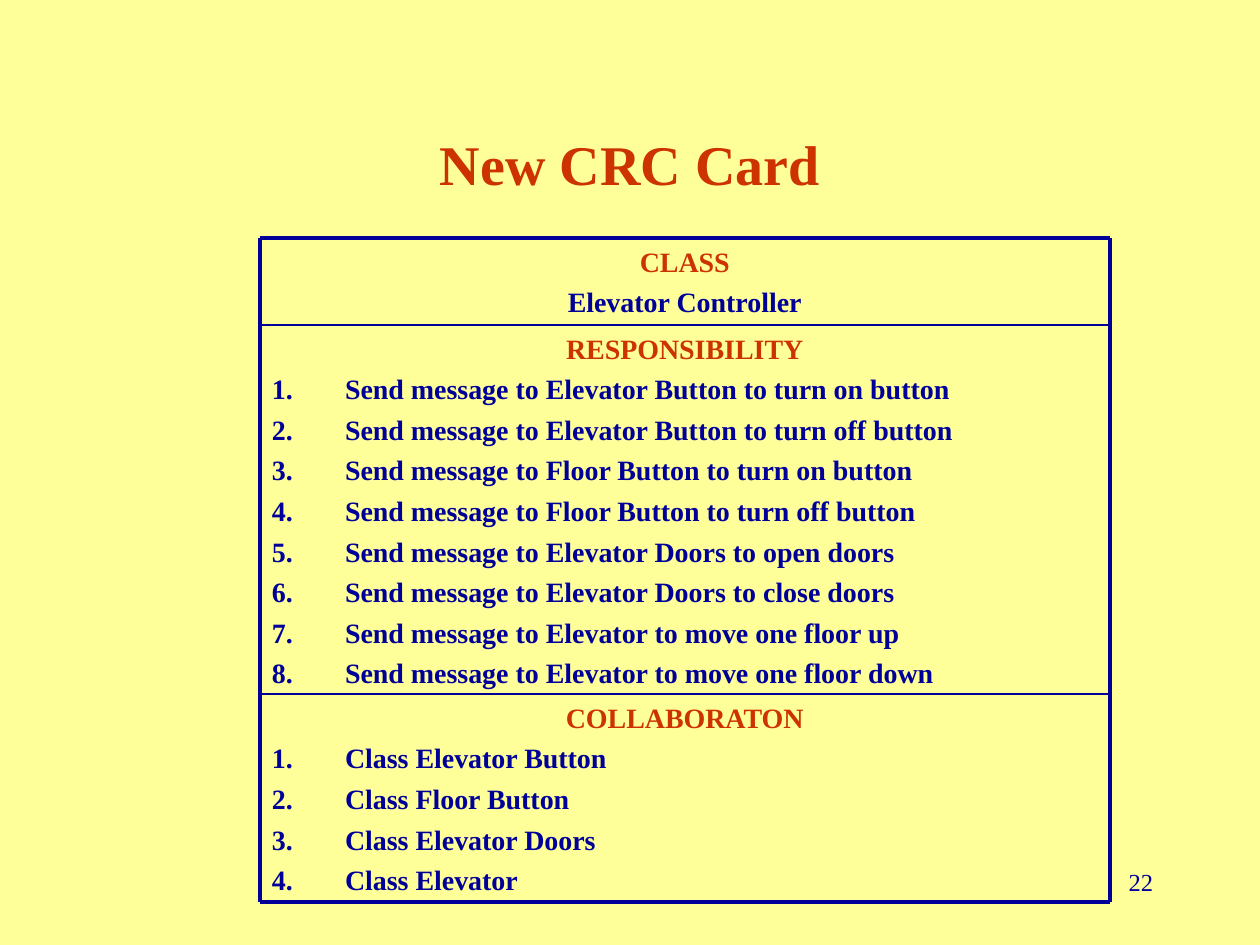
from lxml.etree import SubElement
from pptx import Presentation
from pptx.dml.color import RGBColor
from pptx.enum.shapes import MSO_CONNECTOR
from pptx.enum.text import MSO_ANCHOR, PP_ALIGN
from pptx.oxml.ns import qn
from pptx.util import Inches, Pt

YELLOW = RGBColor(0xFF, 0xFF, 0x99)
RED = RGBColor(0xCC, 0x33, 0x00)
NAVY = RGBColor(0x00, 0x00, 0x99)
FONT = "Times New Roman"

TITLE = "New CRC Card"
PAGE_NUMBER = "22"
# Heading, entries, whether the entries are numbered, section height
SECTIONS = [
    ("CLASS", ["Elevator Controller"], False, 0.69),
    ("RESPONSIBILITY", [
        "Send message to Elevator Button to turn on button",
        "Send message to Elevator Button to turn off button",
        "Send message to Floor Button to turn on button",
        "Send message to Floor Button to turn off button",
        "Send message to Elevator Doors to open doors",
        "Send message to Elevator Doors to close doors",
        "Send message to Elevator to move one floor up",
        "Send message to Elevator to move one floor down",
    ], True, 2.93),
    ("COLLABORATON", [
        "Class Elevator Button",
        "Class Floor Button",
        "Class Elevator Doors",
        "Class Elevator",
    ], True, 1.65),
]
CARD_LEFT, CARD_TOP, CARD_WIDTH = 2.06, 1.89, 6.75
CARD_RIGHT = CARD_LEFT + CARD_WIDTH
CARD_BOTTOM = CARD_TOP + sum(section[-1] for section in SECTIONS)
NUMBER_INDENT = Inches(0.58)
OUTER_WIDTH, INNER_WIDTH = 2.25, 1


def add_text(slide, left, top, width, height, lines):
    box = slide.shapes.add_textbox(
        Inches(left), Inches(top), Inches(width), Inches(height))
    text_frame = box.text_frame
    text_frame.word_wrap = True
    text_frame.text = "\n".join(lines)
    return text_frame


def style(paragraph, size, color, alignment, bold=True):
    paragraph.alignment = alignment
    for run in paragraph.runs:
        run.font.name = FONT
        run.font.size = Pt(size)
        run.font.bold = bold
        run.font.color.rgb = color


def number(paragraph):
    properties = paragraph._p.get_or_add_pPr()
    properties.set("marL", str(NUMBER_INDENT))
    properties.set("indent", str(-NUMBER_INDENT))
    SubElement(properties, qn("a:buFont"), typeface=FONT)
    SubElement(properties, qn("a:buAutoNum"), type="arabicPeriod")


def add_line(slide, x1, y1, x2, y2, width):
    line = slide.shapes.add_connector(
        MSO_CONNECTOR.STRAIGHT, Inches(x1), Inches(y1), Inches(x2), Inches(y2))
    line.line.color.rgb = NAVY
    line.line.width = Pt(width)
    SubElement(line._element.spPr, qn("a:effectLst"))


def add_section(slide, top, heading, entries, numbered, height):
    text_frame = add_text(
        slide, CARD_LEFT, top, CARD_WIDTH, height, [heading, *entries])
    first, *others = text_frame.paragraphs
    style(first, 16, RED, PP_ALIGN.CENTER)
    for paragraph in others:
        if numbered:
            number(paragraph)
        paragraph.space_before = Pt(4)
        style(paragraph, 16, NAVY,
              PP_ALIGN.LEFT if numbered else PP_ALIGN.CENTER)


def main():
    presentation = Presentation()
    presentation.slide_width = Inches(10)
    presentation.slide_height = Inches(7.5)
    slide = presentation.slides.add_slide(presentation.slide_layouts[6])
    slide.background.fill.solid()
    slide.background.fill.fore_color.rgb = YELLOW

    title = add_text(slide, 0.75, 0.67, 8.5, 1.25, [TITLE])
    title.vertical_anchor = MSO_ANCHOR.MIDDLE
    style(title.paragraphs[0], 32, RED, PP_ALIGN.CENTER)

    top = CARD_TOP
    for heading, entries, numbered, height in SECTIONS:
        add_section(slide, top, heading, entries, numbered, height)
        width = OUTER_WIDTH if top == CARD_TOP else INNER_WIDTH
        add_line(slide, CARD_LEFT, top, CARD_RIGHT, top, width)
        top += height
    add_line(slide, CARD_LEFT, CARD_BOTTOM, CARD_RIGHT, CARD_BOTTOM, OUTER_WIDTH)
    for x in (CARD_LEFT, CARD_RIGHT):
        add_line(slide, x, CARD_TOP, x, CARD_BOTTOM, OUTER_WIDTH)

    page = add_text(slide, 7.17, 6.83, 2.08, 0.5, [PAGE_NUMBER])
    style(page.paragraphs[0], 14, NAVY, PP_ALIGN.RIGHT, bold=False)

    presentation.save("out.pptx")


if __name__ == "__main__":
    main()
